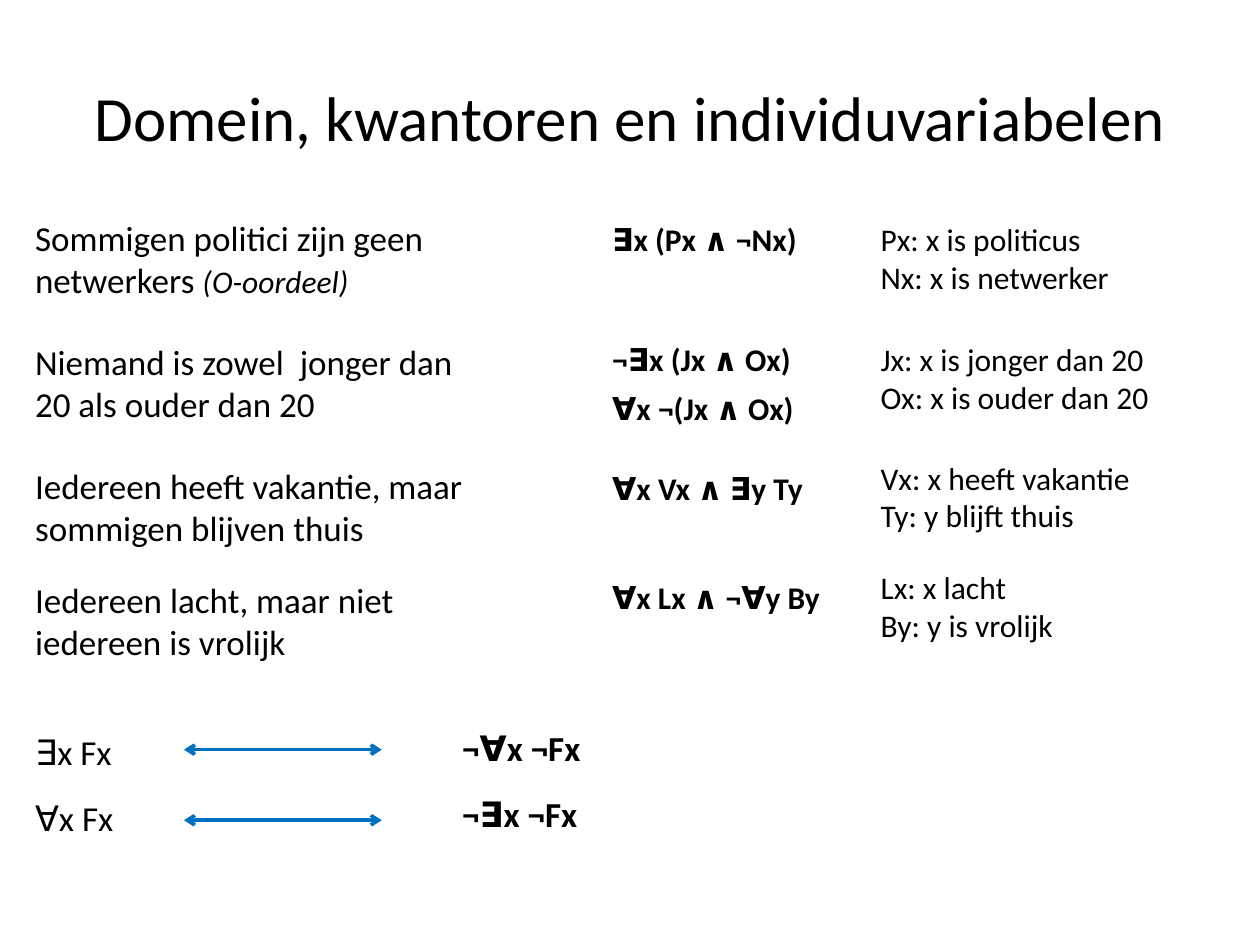
from lxml import etree
from pptx import Presentation, util as u
from pptx.dml.color import RGBColor
from pptx.enum import shapes, text
from pptx.oxml import ns

COLORS = {"text": "000000", "arrow": "0070C0"}
COLUMNS, ROWS = 100, 75
SENTENCE_LEFT, FORMULA_LEFT, KEY_LEFT = -2, 47.6, 68.9
SENTENCE_SIZE, SMALL_SIZE, TITLE_SIZE = 20, 18, 36
SENTENCE_WIDTH, SENTENCE_HEIGHT, NOTE_HEIGHT = 40.9, 7.4, 7.1

EXAMPLES = [
    (16.7, [("Sommigen politici zijn geen netwerkers ", {}),
            ("(O-oordeel)", {"size": u.Pt(SMALL_SIZE), "italic": True})],
     [(17, 18.1, "∃x (Px ∧ ¬Nx)")],
     17, 22, ["Px: x is politicus", "Nx: x is netwerker"]),
    (26.5, [("Niemand is zowel  jonger dan 20 als ouder dan 20", {})],
     [(26.5, 16.5, "¬∃x (Jx ∧ Ox)"), (30.4, 18.1, "∀x ¬(Jx ∧ Ox)")],
     26.5, 26.8, ["Jx: x is jonger dan 20", "Ox: x is ouder dan 20"]),
    (36.4, [("Iedereen heeft vakantie, maar sommigen blijven thuis", {})],
     [(36.7, 18.1, "∀x Vx ∧ ∃y Ty")],
     35.9, 26.8, ["Vx: x heeft vakantie", "Ty: y blijft thuis"]),
    (45.4, [("Iedereen lacht, maar niet iedereen is vrolijk", {})],
     [(45.4, 19.7, "∀x Lx ∧ ¬∀y By")],
     44.6, 26.8, ["Lx: x lacht", "By: y is vrolijk"]),
]
EQUIVALENCES = [
    (57.5, 14.2, "∃x Fx", "¬∀x ¬Fx", 59.5),
    (62.7, 13.4, "∀x Fx", "¬∃x ¬Fx", 65.1),
]


def assign(target, values):
    for name, value in values.items():
        setattr(target, name, value)


class SlideBuilder:
    font = "Calibri"

    def __init__(self, presentation):
        self.column = presentation.slide_width / COLUMNS
        self.row = presentation.slide_height / ROWS
        self.slide = presentation.slides.add_slide(presentation.slide_layouts[6])

    def place(self, left, top, width, height):
        return (round(left * self.column), round(top * self.row),
                round(width * self.column), round(height * self.row))

    def text_box(self, box, paragraphs, size, bold=False, layout=None, anchor=text.MSO_ANCHOR.TOP):
        frame = self.slide.shapes.add_textbox(*self.place(*box)).text_frame
        assign(frame, {"word_wrap": True, "vertical_anchor": anchor})
        for index, runs in enumerate(paragraphs):
            paragraph = frame.add_paragraph() if index else frame.paragraphs[0]
            assign(paragraph, layout or {})
            for words, changes in runs:
                run = paragraph.add_run()
                run.text = words
                assign(run.font, {"name": self.font, "size": u.Pt(size), "bold": bold, **changes})
                run.font.color.rgb = RGBColor.from_string(COLORS["text"])
        return frame

    def title(self, words):
        self.text_box((5, 3, 90, 12.5), [[(words, {})]], TITLE_SIZE,
                      layout={"alignment": text.PP_ALIGN.CENTER}, anchor=text.MSO_ANCHOR.MIDDLE)

    def sentence(self, left, top, width, runs, bold=False):
        frame = self.text_box((left, top, width, SENTENCE_HEIGHT), [runs], SENTENCE_SIZE, bold,
                              {"space_before": u.Pt(SENTENCE_SIZE * 0.2)})
        frame.paragraphs[0]._p.get_or_add_pPr().set("marL", str(u.Inches(0.38)))

    def note(self, left, top, width, lines, bold=False):
        self.text_box((left, top, width, NOTE_HEIGHT),
                      [[(line, {})] for line in lines], SMALL_SIZE, bold)

    def double_arrow(self, left, right, level):
        x, y, width, _ = self.place(left, level, right - left, 0)
        arrow = self.slide.shapes.add_connector(shapes.MSO_CONNECTOR.STRAIGHT, x, y, x + width, y)
        arrow.line.color.rgb = RGBColor.from_string(COLORS["arrow"])
        arrow.line.width = u.Pt(2)
        for end in ("a:headEnd", "a:tailEnd"):
            etree.SubElement(arrow.line._get_or_add_ln(), ns.qn(end), type="arrow")
        etree.SubElement(arrow._element.spPr, ns.qn("a:effectLst"))


def main():
    presentation = Presentation()
    assign(presentation, {"slide_width": u.Inches(10), "slide_height": u.Inches(7.5)})
    builder = SlideBuilder(presentation)
    builder.title("Domein, kwantoren en individuvariabelen")
    for top, sentence, formulas, key_top, key_width, key in EXAMPLES:
        builder.sentence(SENTENCE_LEFT, top, SENTENCE_WIDTH, sentence)
        for formula_top, formula_width, formula in formulas:
            builder.note(FORMULA_LEFT, formula_top, formula_width, [formula], bold=True)
        builder.note(KEY_LEFT, key_top, key_width, key)
    for top, width, quantified, negated, level in EQUIVALENCES:
        builder.sentence(SENTENCE_LEFT, top, width, [(quantified, {})])
        builder.sentence(31.9, top - 0.3, SENTENCE_WIDTH, [(negated, {})], bold=True)
        builder.double_arrow(14.6, 30.3, level)
    presentation.save("out.pptx")


if __name__ == "__main__":
    main()
